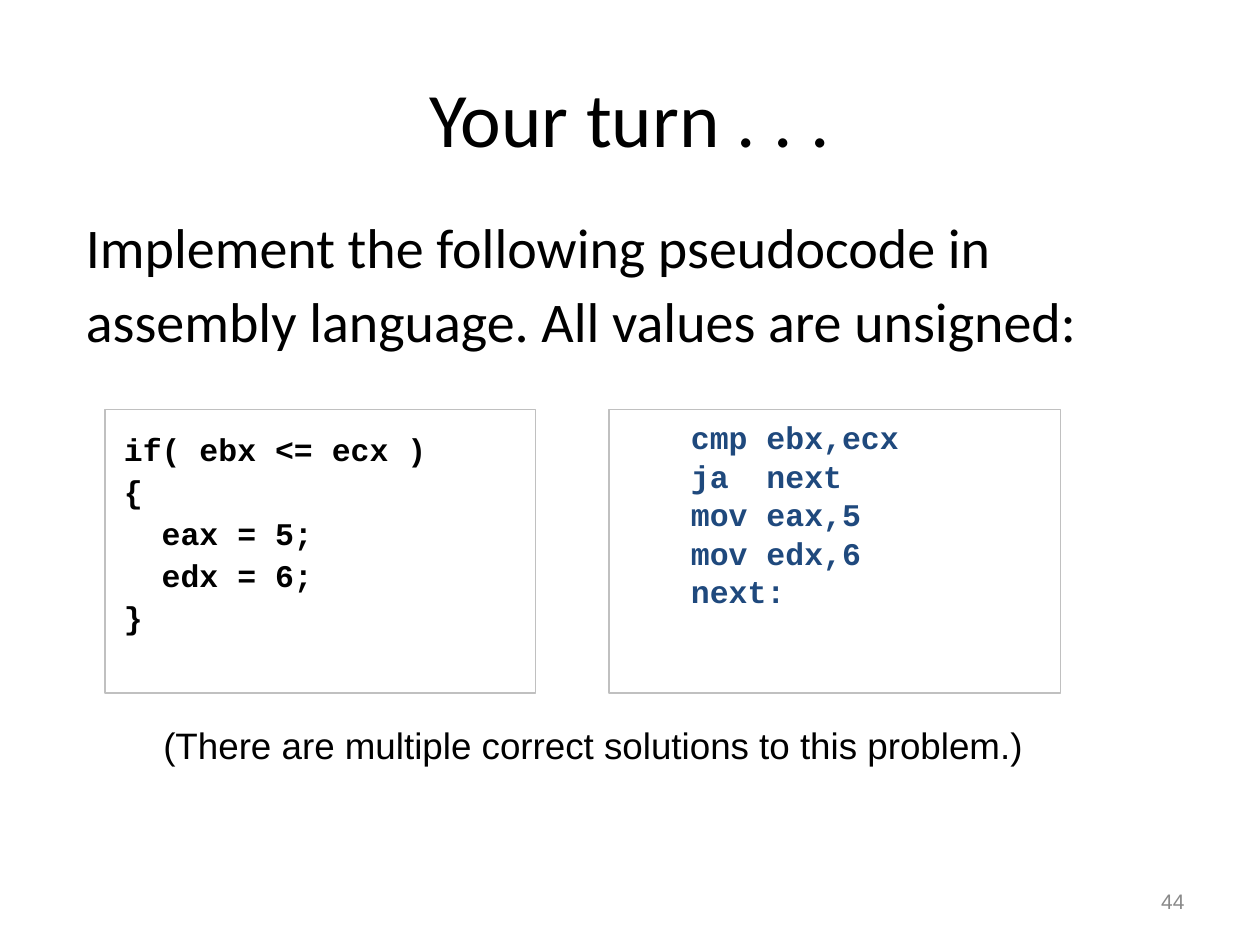
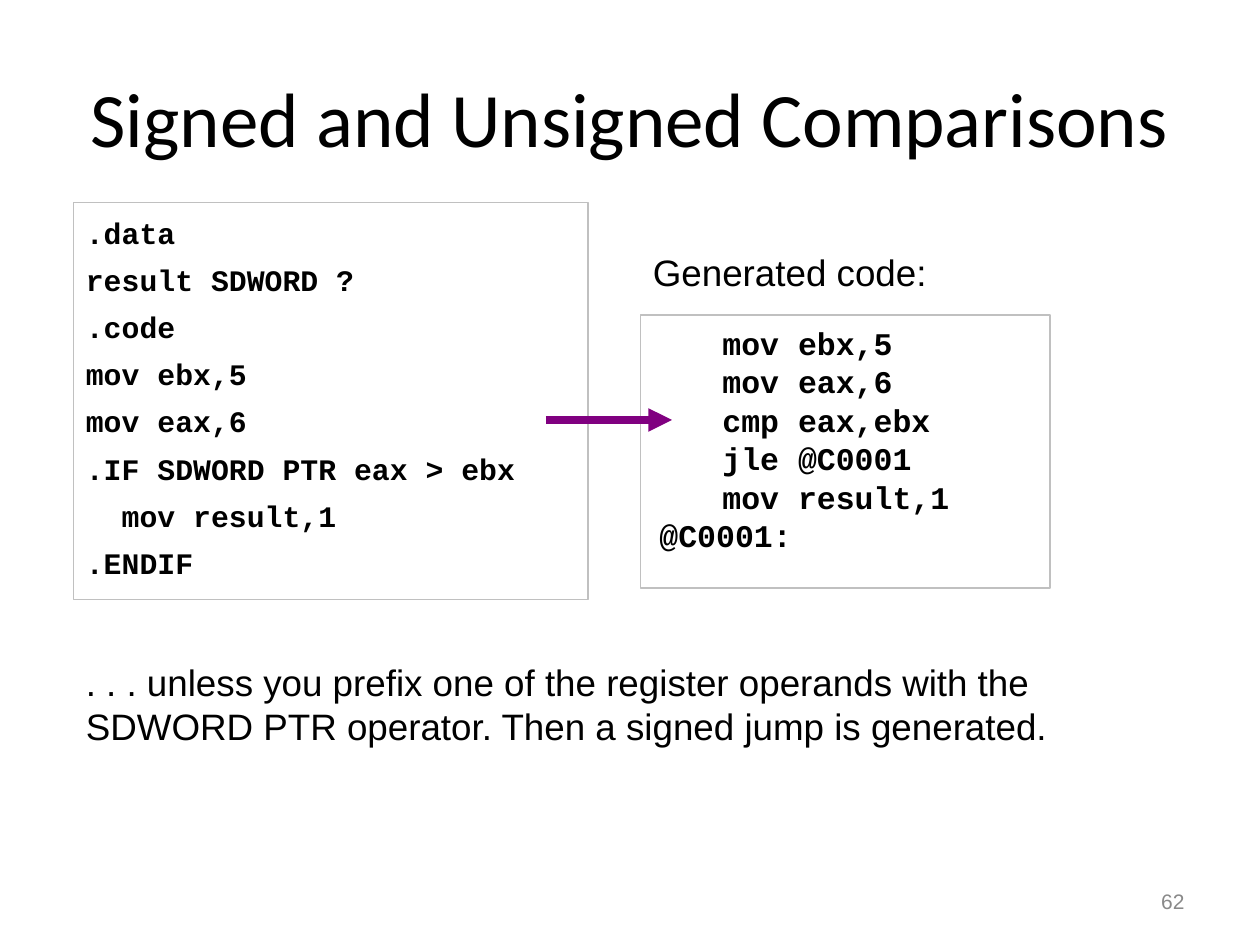
from dataclasses import dataclass

from lxml.etree import SubElement
from pptx import Presentation
from pptx.dml.color import RGBColor
from pptx.enum.shapes import MSO_CONNECTOR, MSO_SHAPE
from pptx.enum.text import MSO_ANCHOR, MSO_AUTO_SIZE, PP_ALIGN
from pptx.oxml.ns import qn
from pptx.util import Inches, Pt


@dataclass(frozen=True)
class Style:
    font: str
    size: float
    color: str = "000000"
    bold: bool = False
    align: PP_ALIGN = PP_ALIGN.LEFT
    anchor: MSO_ANCHOR = MSO_ANCHOR.TOP
    line_spacing: float = 1.0
    space_before: float = 0
    inset: tuple = (0.1, 0.05)
    grow: bool = False
    framed: bool = False


FRAME_COLOR, FRAME_WIDTH = "C0C0C0", 0.75
ARROW_COLOR, ARROW_WIDTH = "800080", 4.5
CODE = dict(font="Courier New", bold=True, framed=True)
CODE_18 = dict(CODE, size=18, inset=(0.15, 0.2))
NOTE = dict(font="Arial", size=21, space_before=13.1, inset=(0.1, 0.15), grow=True)
ASSEMBLY = dict(CODE_18, line_spacing=0.5, space_before=11.2)

THEME = {
    "title": Style("Calibri", 44, align=PP_ALIGN.CENTER, anchor=MSO_ANCHOR.MIDDLE),
    "task": Style("Calibri", 32, line_spacing=1.1, space_before=8),
    "number": Style("Arial", 12, "898989", align=PP_ALIGN.RIGHT, anchor=MSO_ANCHOR.MIDDLE),
    "note": Style(**NOTE),
    "centred note": Style(**NOTE, align=PP_ALIGN.CENTER),
    "pseudocode": Style(**CODE_18, line_spacing=0.9, space_before=4.5),
    "assembly": Style(**ASSEMBLY),
    "solution": Style(**ASSEMBLY, color="1F497D"),
    "directives": Style(**CODE, size=17, line_spacing=0.8, space_before=10.6,
                        inset=(0.1, 0.15), grow=True),
}

COLUMNS, ROWS = 120, 90
CELL = 1 / 12
CODE_INDENT = 0.5
TITLE_AREA = (6, 3.6, 108, 15)
NUMBER_AREA = (86, 83.4, 28, 4.8)

SLIDES = [
    {
        "title": "Your turn . . .",
        "number": "44",
        "parts": [
            ("task", (7, 19, 102, 16),
             ["Implement the following pseudocode in assembly language. "
              "All values are unsigned:"]),
            ("solution", (58, 39, 43, 27),
             [("cmp ebx,ecx", 1), ("ja  next", 1), ("mov eax,5", 1),
              ("mov edx,6", 1), ("next:", 1)]),
            ("pseudocode", (10, 39, 41, 27),
             ["if( ebx <= ecx )", "{", "  eax = 5;", "  edx = 6;", "}"]),
            ("centred note", (9, 67, 95, 7.8),
             ["(There are multiple correct solutions to this problem.)"]),
        ],
        "arrows": [],
    },
    {
        "title": "Signed and Unsigned Comparisons",
        "number": "62",
        "parts": [
            ("assembly", (61, 30, 39, 26),
             [("mov ebx,5", 1), ("mov eax,6", 1), ("cmp eax,ebx", 1),
              ("jle @C0001", 1), ("mov result,1", 1), "@C0001:"]),
            ("directives", (7, 19.3, 49, 37.8),
             [".data", "result SDWORD ?", ".code", "mov ebx,5", "mov eax,6",
              ".IF SDWORD PTR eax > ebx", "  mov result,1", ".ENDIF"]),
            ("note", (61, 22, 41, 7.8), ["Generated code:"]),
            ("note", (7, 61, 102, 12),
             [". . . unless you prefix one of the register operands with the "
              "SDWORD PTR operator. Then a signed jump is generated."]),
        ],
        "arrows": [(52, 40, 64, 40)],
    },
]


def grid(cells):
    return [Inches(cell * CELL) for cell in cells]


def add_part(slide, role, area, lines):
    style = THEME[role]
    if style.framed:
        part = slide.shapes.add_shape(MSO_SHAPE.RECTANGLE, *grid(area))
        part.shadow.inherit = False
        part.fill.background()
        part.line.color.rgb = RGBColor.from_string(FRAME_COLOR)
        part.line.width = Pt(FRAME_WIDTH)
    else:
        part = slide.shapes.add_textbox(*grid(area))
    frame = part.text_frame
    frame.word_wrap = True
    frame.auto_size = MSO_AUTO_SIZE.SHAPE_TO_FIT_TEXT if style.grow else MSO_AUTO_SIZE.NONE
    frame.vertical_anchor = style.anchor
    side, top = map(Inches, style.inset)
    frame.margin_left = frame.margin_right = side
    frame.margin_top = frame.margin_bottom = top
    for index, line in enumerate(lines):
        text, level = (line, 0) if isinstance(line, str) else line
        paragraph = frame.add_paragraph() if index else frame.paragraphs[0]
        paragraph.text = text
        paragraph.alignment = style.align
        paragraph.line_spacing = style.line_spacing
        paragraph.space_before = Pt(style.space_before)
        paragraph.font.name = style.font
        paragraph.font.size = Pt(style.size)
        paragraph.font.bold = style.bold
        paragraph.font.color.rgb = RGBColor.from_string(style.color)
        if level:
            paragraph._p.get_or_add_pPr().set("marL", str(Inches(level * CODE_INDENT)))


def add_arrow(slide, ends):
    arrow = slide.shapes.add_connector(MSO_CONNECTOR.STRAIGHT, *grid(ends))
    arrow.line.color.rgb = RGBColor.from_string(ARROW_COLOR)
    arrow.line.width = Pt(ARROW_WIDTH)
    SubElement(arrow.line._get_or_add_ln(), qn("a:tailEnd"), type="triangle")
    SubElement(arrow._element.spPr, qn("a:effectLst"))


def main():
    deck = Presentation()
    deck.slide_width, deck.slide_height = grid((COLUMNS, ROWS))
    for content in SLIDES:
        slide = deck.slides.add_slide(deck.slide_layouts[6])
        add_part(slide, "title", TITLE_AREA, [content["title"]])
        add_part(slide, "number", NUMBER_AREA, [content["number"]])
        for role, area, lines in content["parts"]:
            add_part(slide, role, area, lines)
        for ends in content["arrows"]:
            add_arrow(slide, ends)
    deck.save("out.pptx")


if __name__ == "__main__":
    main()
